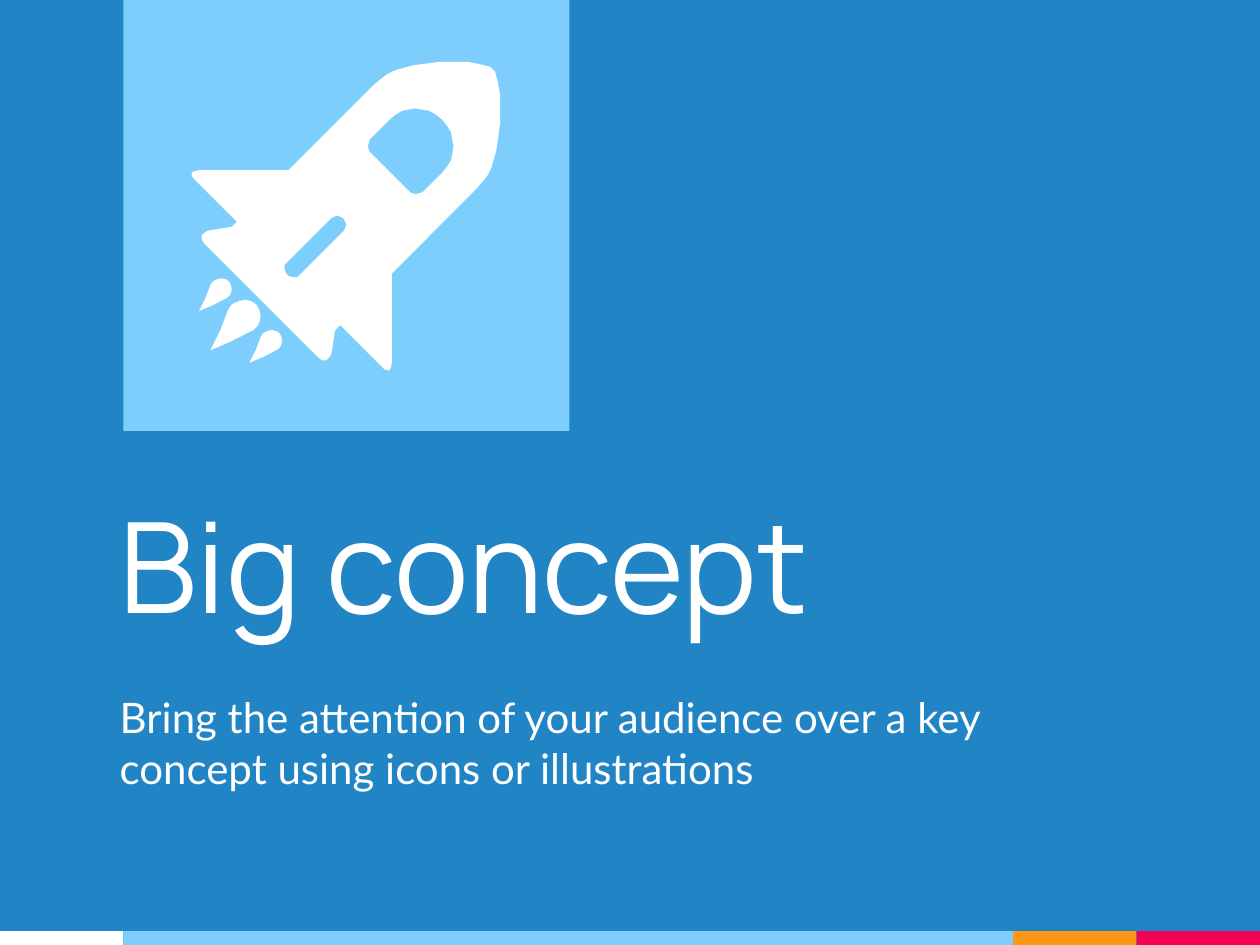
from dataclasses import dataclass

from pptx import Presentation
from pptx import util as u
from pptx.dml.color import RGBColor
from pptx.enum import shapes, text


@dataclass(frozen=True)
class Theme:
    blue: str = "2185C5"
    sky: str = "7ECEFD"
    orange: str = "FF9715"
    red: str = "F20253"
    white: str = "FFFFFF"
    title_font: str = "Manrope"
    title_size: int = 72
    body_font: str = "Lato"
    body_size: int = 24


THEME = Theme()
WIDTH, HEIGHT = 10, 7.5

# The rocket is symmetric about the line x + y = 4.46 (inches), so each
# outline lists one half only, from the nose end to the tail end.
AXIS_SUM = 4.46
HULL = [
    (3.91, 0.55), (3.89, 0.53), (3.85, 0.52), (3.81, 0.51), (3.76, 0.5),
    (3.7, 0.49), (3.57, 0.49), (3.49, 0.49), (3.42, 0.5), (3.34, 0.51),
    (3.27, 0.52), (3.2, 0.54), (3.13, 0.56), (3.07, 0.59), (3.02, 0.63),
    (2.97, 0.67), (2.29, 1.35), (1.58, 1.35), (1.54, 1.36), (1.52, 1.37),
    (1.52, 1.38), (1.53, 1.41), (1.55, 1.43), (1.88, 1.76), (1.84, 1.8),
    (1.65, 1.83), (1.62, 1.85), (1.6, 1.87), (1.6, 1.9), (1.62, 1.93),
]
WINDOW = [
    (3.51, 0.95), (3.46, 0.91), (3.41, 0.88), (3.35, 0.87), (3.3, 0.86),
    (3.24, 0.87), (3.19, 0.88), (3.14, 0.91), (3.09, 0.95), (2.96, 1.08),
    (2.94, 1.1), (2.93, 1.12), (2.92, 1.16), (2.93, 1.2), (2.96, 1.23),
]
SLOT = [
    (2.72, 1.73), (2.7, 1.72), (2.68, 1.71), (2.65, 1.72), (2.63, 1.73),
    (2.28, 2.08), (2.26, 2.1), (2.26, 2.14), (2.27, 2.17),
]
# Teardrop in a unit square, with its tip at the lower left
FLAME = [
    (0.7, 0), (0.58, 0.02), (0.48, 0.06), (0.42, 0.1), (0.35, 0.2),
    (0.2, 0.6), (0.05, 0.9), (0, 1), (0.12, 0.95), (0.42, 0.82),
    (0.85, 0.6), (0.93, 0.53), (0.98, 0.43), (1, 0.32), (0.97, 0.2),
    (0.92, 0.1), (0.82, 0.03),
]
FLAMES = [(1.67, 2.38, 0.4), (1.98, 2.62, 0.26), (1.58, 2.21, 0.26)]


def paint(shape, color):
    shape.shadow.inherit = False
    shape.fill.solid()
    shape.fill.fore_color.rgb = RGBColor.from_string(color)
    shape.line.fill.background()


def add_rectangle(page, box, color):
    paint(page.shapes.add_shape(shapes.MSO_SHAPE.RECTANGLE,
                                *map(u.Inches, box)), color)


def add_outline(group, contours, color):
    """Draw closed contours as one shape; inner contours become holes."""
    contours = [[(u.Inches(x), u.Inches(y)) for x, y in contour]
                for contour in contours]
    builder = group.shapes.build_freeform(*contours[0][0])
    builder.add_line_segments(contours[0][1:], close=True)
    for contour in contours[1:]:
        builder.move_to(*contour[0])
        builder.add_line_segments(contour[1:], close=True)
    paint(builder.convert_to_shape(), color)


def add_mirror_half(half):
    return half + [(AXIS_SUM - y, AXIS_SUM - x) for x, y in reversed(half)]


def add_stripe(page, box):
    """Coloured band: narrow ends, with the sky part filling the rest."""
    left, top, width, height = box
    narrow = 0.98
    parts = [(narrow, THEME.white), (width - 3 * narrow, THEME.sky),
             (narrow, THEME.orange), (narrow, THEME.red)]
    for part_width, color in parts:
        add_rectangle(page, (left, top, part_width, height), color)
        left += part_width


def add_rocket_panel(page, box):
    left, top = box[:2]
    add_rectangle(page, box, THEME.sky)
    rocket = page.shapes.add_group_shape()
    add_outline(rocket, [add_mirror_half(half) for half in (HULL, WINDOW, SLOT)],
                THEME.white)
    for x, y, size in FLAMES:
        add_outline(rocket, [[(x + size * px, y + size * py) for px, py in FLAME]],
                    THEME.white)
    # The outlines are measured for a panel at (0.98, 0)
    rocket.left += u.Inches(left - 0.98)
    rocket.top += u.Inches(top)


def fill_placeholder(holder, box, words, font, size, anchor):
    holder.left, holder.top, holder.width, holder.height = map(u.Inches, box)
    frame = holder.text_frame
    frame.word_wrap = True
    frame.auto_size = text.MSO_AUTO_SIZE.NONE
    frame.vertical_anchor = anchor
    frame.margin_left = frame.margin_right = u.Inches(0.1)
    frame.margin_top = frame.margin_bottom = u.Inches(0.1)
    para = frame.paragraphs[0]
    para.alignment = text.PP_ALIGN.LEFT
    para.space_before = u.Pt(0)
    span = para.add_run()
    span.text = words
    span.font.name = font
    span.font.size = u.Pt(size)
    span.font.color.rgb = RGBColor.from_string(THEME.white)


def build_concept_page(deck):
    page = deck.slides.add_slide(deck.slide_layouts[0])
    page.background.fill.solid()
    page.background.fill.fore_color.rgb = RGBColor.from_string(THEME.blue)

    # Footer band and illustration
    add_stripe(page, (0, 7.39, WIDTH, 0.11))
    add_rocket_panel(page, (0.98, 0, 3.54, 3.42))

    # Title and subtitle
    fill_placeholder(page.shapes.title, (0.85, 3.48, 7.24, 1.69), "Big concept",
                     THEME.title_font, THEME.title_size, text.MSO_ANCHOR.BOTTOM)
    fill_placeholder(page.placeholders[1], (0.85, 5.39, 7.24, 1.14),
                     "Bring the attention of your audience over a key concept "
                     "using icons or illustrations",
                     THEME.body_font, THEME.body_size, text.MSO_ANCHOR.TOP)


def main():
    deck = Presentation()
    deck.slide_width, deck.slide_height = u.Inches(WIDTH), u.Inches(HEIGHT)
    build_concept_page(deck)
    deck.save("out.pptx")


if __name__ == "__main__":
    main()
